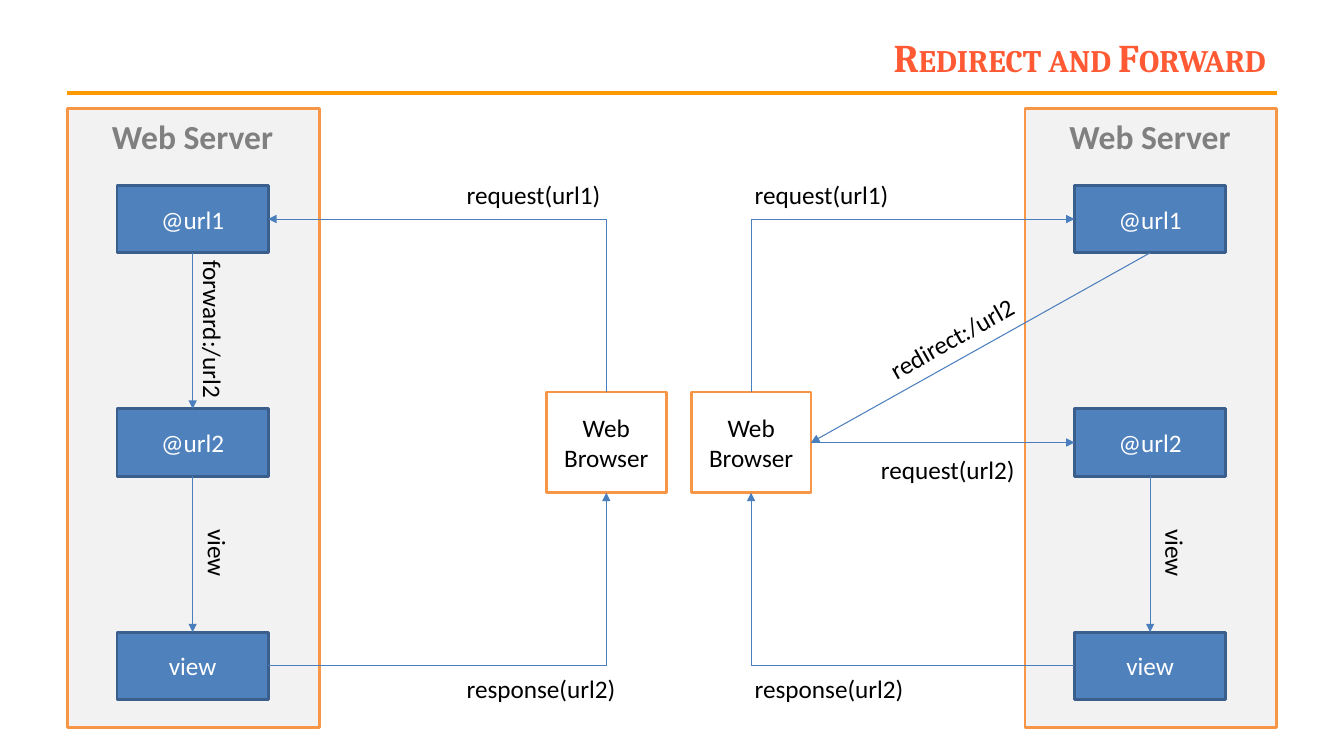
from dataclasses import dataclass
from lxml import etree
from pptx import Presentation
from pptx.dml.color import RGBColor
from pptx.enum import shapes, text
from pptx.oxml.ns import qn
from pptx.util import Cm, Pt


@dataclass(frozen=True)
class Theme:
    title: str = "FF5A33"
    rule: str = "FF9900"
    panel: str = "F2F2F2"
    frame: str = "F79646"
    node: str = "4F81BD"
    edge: str = "3A5F8C"
    arrow: str = "4B7EBC"
    head: str = "808080"
    ink: str = "000000"
    paper: str = "FFFFFF"
    body: str = "Calibri"
    serif: str = "Cambria"
    big: int = 28
    mid: int = 24
    base: int = 18


@dataclass(frozen=True)
class Box:
    x: float
    y: float
    w: float
    h: float
    fill: str
    line: str
    words: str = ""
    ink: str = "FFFFFF"


@dataclass(frozen=True)
class Arrow:
    """A line; a bent one runs across first, then up or down."""
    x1: float
    y1: float
    x2: float
    y2: float
    bent: bool = False
    tip: str = "tailEnd"
    color: str = "4B7EBC"
    width: float = 0.75


@dataclass(frozen=True)
class Label:
    words: str
    x: float
    y: float
    w: float
    turn: float = 0


T = Theme()
LEFT, RIGHT = text.PP_ALIGN.LEFT, text.PP_ALIGN.RIGHT
CENTER = text.PP_ALIGN.CENTER


def write(frame, words: str, *, size: int = T.base, font: str = T.body,
          color: str = T.ink, bold: bool = False, align=LEFT,
          small: bool = False) -> None:
    par = frame.paragraphs[0]
    par.alignment = align
    run = par.add_run()
    run.text = words
    run.font.size = Pt(size)
    run.font.name = font
    run.font.bold = bold
    run.font.color.rgb = RGBColor.from_string(color)
    if small:
        run.font._element.set("cap", "small")


def draw_box(slide, box: Box) -> None:
    shape = slide.shapes.add_shape(
        shapes.MSO_SHAPE.RECTANGLE, Cm(box.x), Cm(box.y), Cm(box.w), Cm(box.h))
    shape.shadow.inherit = False
    shape.fill.solid()
    shape.fill.fore_color.rgb = RGBColor.from_string(box.fill)
    shape.line.color.rgb = RGBColor.from_string(box.line)
    shape.line.width = Pt(2)
    if box.words:
        frame = shape.text_frame
        frame.word_wrap = True
        frame.vertical_anchor = text.MSO_ANCHOR.MIDDLE
        write(frame, box.words, color=box.ink, align=CENTER)


def draw_arrow(slide, arrow: Arrow) -> None:
    kind = shapes.MSO_CONNECTOR.ELBOW if arrow.bent else shapes.MSO_CONNECTOR.STRAIGHT
    line = slide.shapes.add_connector(
        kind, Cm(arrow.x1), Cm(arrow.y1), Cm(arrow.x2), Cm(arrow.y2))
    line.line.color.rgb = RGBColor.from_string(arrow.color)
    line.line.width = Pt(arrow.width)
    props = line._element.spPr
    if arrow.bent:
        props.find(qn("a:prstGeom")).set("prst", "bentConnector2")
    if arrow.tip:
        etree.SubElement(props.find(qn("a:ln")), qn(f"a:{arrow.tip}"), type="triangle")
    etree.SubElement(props, qn("a:effectLst"))


def draw_label(slide, label: Label, *, high: float = 1.02, **form) -> None:
    box = slide.shapes.add_textbox(
        Cm(label.x), Cm(label.y), Cm(label.w), Cm(high))
    box.rotation = label.turn
    box.text_frame.word_wrap = False
    box.text_frame.auto_size = text.MSO_AUTO_SIZE.SHAPE_TO_FIT_TEXT
    write(box.text_frame, label.words, **form)


def draw_title(slide, words: str) -> None:
    title = slide.shapes.title
    title.left, title.top = Cm(6.2), Cm(0.76)
    title.width, title.height = Cm(25.96), Cm(1.35)
    frame = title.text_frame
    frame.auto_size = text.MSO_AUTO_SIZE.NONE
    frame.vertical_anchor = text.MSO_ANCHOR.MIDDLE
    write(frame, words, size=T.big, font=T.serif, color=T.title,
          bold=True, align=RIGHT, small=True)


def main() -> None:
    deck = Presentation()
    deck.slide_width, deck.slide_height = Cm(33.87), Cm(19.05)
    slide = deck.slides.add_slide(deck.slide_layouts[5])
    draw_title(slide, "Redirect and Forward")
    draw_arrow(slide, Arrow(1.7, 2.34, 32.18, 2.34, tip="", color=T.rule, width=3))

    shift = 24.13  # from the left server to the right one
    node_x, node_w, node_h = 2.95, 3.81, 1.7
    tops = [4.67 + 5.63 * row for row in range(3)]
    mids = [top + node_h / 2 for top in tops]
    axis = node_x + node_w / 2
    web_y, web_w, web_h = 9.88, 3.02, 2.54

    # Per side: server offset, inner node edge, browser left, label left
    sides = [(0, node_x + node_w, 13.77, 11.51),
             (shift, node_x + shift, 17.42, 18.77)]
    for dx, edge, web_x, label_x in sides:
        draw_box(slide, Box(1.7 + dx, 2.74, 6.35, 15.6, T.panel, T.frame))
        for top, words in zip(tops, ("@url1", "@url2", "view")):
            draw_box(slide, Box(node_x + dx, top, node_w, node_h,
                                T.node, T.edge, words))
        draw_box(slide, Box(web_x, web_y, web_w, web_h, T.paper, T.frame,
                            "Web Browser", T.ink))
        web_mid = web_x + web_w / 2
        draw_arrow(slide, Arrow(edge, mids[0], web_mid, web_y, True, "headEnd"))
        draw_arrow(slide, Arrow(edge, mids[2], web_mid, web_y + web_h, True))
        draw_arrow(slide, Arrow(axis + dx, tops[1] + node_h, axis + dx, tops[2]))
        draw_label(slide, Label("request(url1)", label_x, 4.39, 3.94))
        draw_label(slide, Label("response(url2)", label_x, 16.84, 4.32))
        draw_label(slide, Label("view", 4.62 + dx, 13.44, 1.73, 90))
        draw_label(slide, Label("Web Server", 2.57 + dx, 2.79, 4.62), high=1.27,
                   size=T.mid, color=T.head, bold=True)

    web_end = sides[1][2] + web_w
    for arrow in (
        Arrow(axis, tops[0] + node_h, axis, tops[1]),
        Arrow(axis + shift, tops[0] + node_h, web_end, mids[1]),
        Arrow(web_end, mids[1], node_x + shift, mids[1]),
    ):
        draw_arrow(slide, arrow)
    for label in (
        Label("forward:/url2", 3.35, 7.82, 4.04, 90),
        Label("redirect:/url2", 22, 8, 4.01, 330.6),
        Label("request(url2)", 21.95, 11.33, 3.94),
    ):
        draw_label(slide, label)
    deck.save("out.pptx")


if __name__ == "__main__":
    main()
